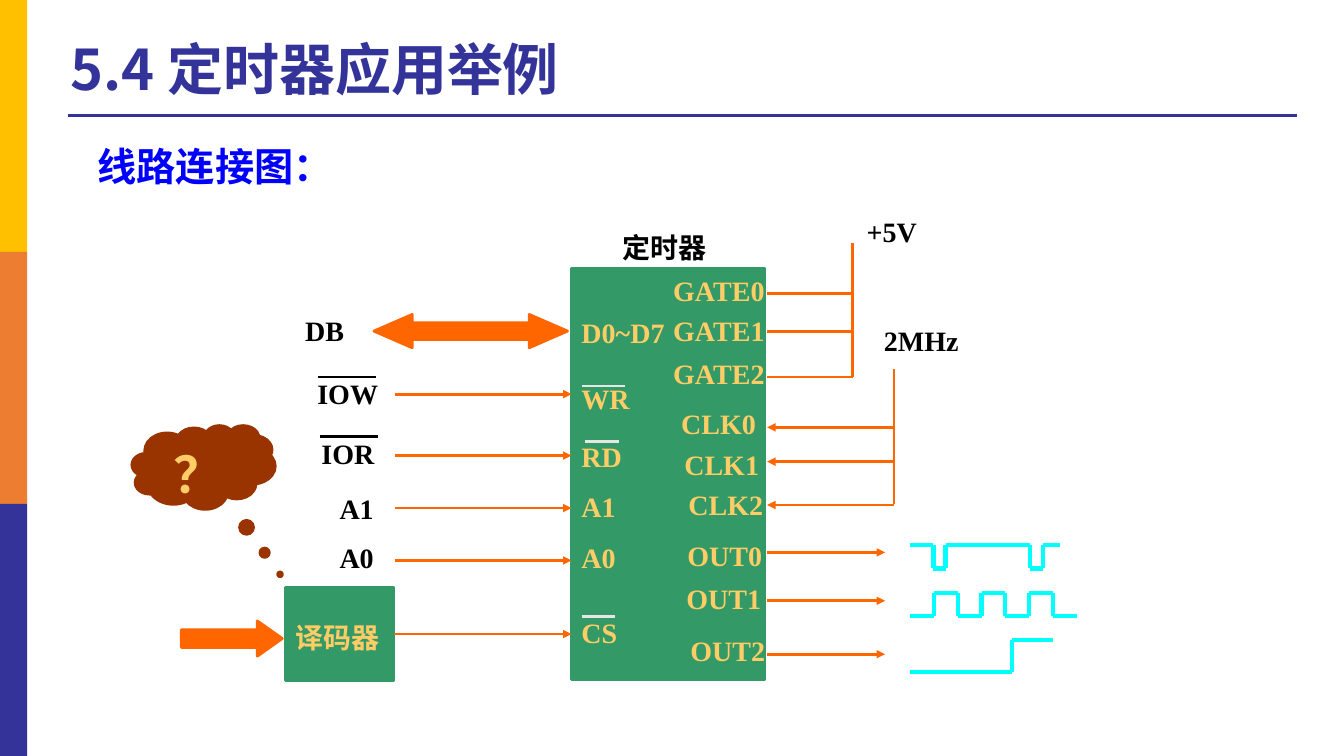
from itertools import pairwise

from lxml.etree import SubElement
from pptx import Presentation
from pptx.dml.color import RGBColor
from pptx.enum.shapes import MSO_CONNECTOR, MSO_SHAPE
from pptx.enum.text import MSO_ANCHOR, MSO_AUTO_SIZE, PP_ALIGN
from pptx.oxml.ns import qn
from pptx.util import Inches, Pt

CELL = Inches(0.1)
COLUMNS, ROWS = 133.33, 75
SERIF, SANS, TITLE_FONT = "Times New Roman", "Arial", "Noto Sans CJK SC"
COLORS = {
    "navy": "333399", "gold": "FFC000", "amber": "ED7D31", "green": "339966",
    "orange": "FF6600", "sand": "FFCC66", "black": "000000", "blue": "0000FF",
    "gray": "E7E6E6", "brown": "993300", "cyan": "00FFFF",
}

CHIP_LEFT, CHIP_RIGHT = 56.7, 76.1
INPUT_LEFT = 39.2
GATE_BUS, CLOCK_BUS = 84.6, 88.7
OUTPUT_END = 87.8
WAVE_LEFT = 90.3

PIN_LABELS = [
    ("D0~D7", 56.7, 30.8, 11.7), ("WR", 56.7, 37.4, 8.3), ("RD", 56.7, 43.1, 8.3),
    ("A1", 56.7, 48.1, 7.5), ("A0", 56.7, 53.1, 7.5), ("CS", 56.7, 60.6, 7.5),
    ("GATE0", 65.8, 26.6, 12.5), ("GATE1", 65.8, 30.6, 12.5), ("GATE2", 65.8, 34.9, 12.5),
    ("CLK0", 66.6, 39.8, 10.9), ("CLK1", 66.9, 43.9, 10.9), ("CLK2", 67.3, 47.9, 10.9),
    ("OUT0", 67.2, 52.9, 10.8), ("OUT1", 67.1, 57.2, 10.8), ("OUT2", 67.5, 62.4, 10.8),
]
SIGNAL_LABELS = [
    ("DB", 29.3, 30.6, 8.3), ("IOW", 30.5, 36.9, 8.3), ("IOR", 30.9, 42.8, 8.3),
    ("A1", 32.7, 48.3, 6.6), ("A0", 32.7, 53.1, 6.6), ("定时器", 60.8, 22.4, 10.8),
    ("+5V", 85, 20.8, 9.2), ("2MHz", 86.7, 31.6, 10.8),
]
OVERLINES = [
    (57.7, 62, 38.3, "gray"), (58, 61.4, 43.8, "gray"), (57.7, 61, 61.2, "gray"),
    (31.5, 37.3, 37.4, "black"), (31.7, 37.5, 43.3, "black"),
]


def cells(*values):
    return [int(value * CELL) for value in values]


def color(name):
    return RGBColor.from_string(COLORS[name])


def write(frame, text, size, shade, face):
    para = frame.paragraphs[0]
    para.text = text
    para.font.size = Pt(size)
    para.font.bold = True
    para.font.color.rgb = color(shade)
    para.font.name = face
    if not text.isascii():
        properties = para._p.pPr.find(qn("a:defRPr"))
        SubElement(properties, qn("a:ea")).set("typeface", TITLE_FONT)
    return para


def add_label(page, text, left, top, width, shade, height=4.3, size=20, face=SERIF):
    box = page.shapes.add_textbox(*cells(left, top, width, height))
    box.text_frame.word_wrap = True
    box.text_frame.auto_size = MSO_AUTO_SIZE.SHAPE_TO_FIT_TEXT
    return write(box.text_frame, text, size, shade, face)


def add_block(page, kind, place, shade, adjustments=(), outlined=True):
    block = page.shapes.add_shape(kind, *cells(*place))
    block.shadow.inherit = False
    block.fill.solid()
    block.fill.fore_color.rgb = color(shade)
    if outlined:
        block.line.color.rgb = color(shade)
        block.line.width = Pt(2)
    else:
        block.line.fill.background()
    for index, value in enumerate(adjustments):
        block.adjustments[index] = value
    return block


def add_wire(shapes, start, end, shade="orange", weight=2, arrow=False):
    wire = shapes.add_connector(MSO_CONNECTOR.STRAIGHT, *cells(*start, *end))
    wire.line.color.rgb = color(shade)
    wire.line.width = Pt(weight)
    if arrow:
        SubElement(wire.line._ln, qn("a:tailEnd")).set("type", "triangle")
    SubElement(wire._element.spPr, qn("a:effectLst"))
    return wire


def add_wave(page, points):
    wave = page.shapes.add_group_shape()
    for start, end in pairwise(points):
        add_wire(wave.shapes, start, end, "cyan", 3)


def add_frame(page):
    add_wire(page.shapes, (6.7, 11.5), (128.7, 11.5), "navy", 2.25)
    band = ROWS / 3
    for index, shade in enumerate(("gold", "amber", "navy")):
        add_block(page, MSO_SHAPE.RECTANGLE, (0, index * band, 2.7, band), shade, outlined=False)
    title = page.shapes.add_textbox(*cells(6, 2.8, 99.1, 8.7))
    title.text_frame.word_wrap = True
    title.text_frame.vertical_anchor = MSO_ANCHOR.MIDDLE
    write(title.text_frame, "5.4 定时器应用举例", 40, "navy", TITLE_FONT).line_spacing = 0.9
    add_label(page, "线路连接图：", 8.7, 13.6, 25.5, "blue", 5.7, 28, SANS)


def add_decoder(page):
    add_block(page, MSO_SHAPE.RIGHT_ARROW, (18, 61.6, 10, 3.5), "orange", (0.5, 0.706))
    decoder = add_block(page, MSO_SHAPE.RECTANGLE, (28.3, 58.3, 10.8, 9.2), "green")
    add_label(page, "译码器", 28.3, 59.9, 11.7, "sand", 4.9, face=SANS).line_spacing = 1.35
    select = add_wire(page.shapes, (39.1, 62.9), (CHIP_LEFT, 62.9), arrow=True)
    select.begin_connect(decoder, 3)
    cloud = add_block(page, MSO_SHAPE.CLOUD_CALLOUT, (13.1, 42.2, 14.2, 8.3), "brown", (0.534, 1.281))
    cloud.text_frame.vertical_anchor = MSO_ANCHOR.TOP
    write(cloud.text_frame, "？", 36, "sand", SERIF).alignment = PP_ALIGN.CENTER


def add_wiring(page):
    shapes = page.shapes
    add_block(page, MSO_SHAPE.LEFT_RIGHT_ARROW, (37.1, 31.2, 19.2, 3.3), "orange", (0.5, 1.15))
    for row in (39.1, 45.2, 50.4, 55.6):
        add_wire(shapes, (INPUT_LEFT, row), (CHIP_LEFT, row), arrow=True)
    for row in (29.1, 32.9, 37.4):
        add_wire(shapes, (CHIP_RIGHT, row), (GATE_BUS, row))
    add_wire(shapes, (GATE_BUS, 37.4), (GATE_BUS, 24.1))
    for row in (42.4, 45.8, 50.1):
        add_wire(shapes, (CLOCK_BUS, row), (CHIP_RIGHT, row), arrow=True)
    add_wire(shapes, (CLOCK_BUS, 50), (CLOCK_BUS, 36.6))
    for row in (54.8, 59.6, 64.9):
        add_wire(shapes, (CHIP_RIGHT, row), (OUTPUT_END, row), arrow=True)
    for left, right, row, shade in OVERLINES:
        add_wire(shapes, (left, row), (right, row), shade)


def add_waves(page):
    high, low = 54.1, 56.4
    pulses = [(WAVE_LEFT, high)]
    for left, right in ((92.6, 93.8), (102.2, 103.5)):
        pulses += [(left, high), (left, low), (right, low), (right, high)]
    add_wave(page, pulses + [(105.2, high)])

    levels, step = (61.1, 58.8), 2.36
    square = [(WAVE_LEFT, levels[0])]
    for index in range(6):
        column = WAVE_LEFT + (index + 1) * step
        square += [(column, levels[index % 2]), (column, levels[(index + 1) % 2])]
    add_wave(page, square + [(WAVE_LEFT + 7 * step, levels[0])])

    add_wave(page, [(WAVE_LEFT, 66.7), (100.4, 66.7), (100.4, 63.5), (104.5, 63.5)])


def main():
    deck = Presentation()
    deck.slide_width, deck.slide_height = cells(COLUMNS, ROWS)
    page = deck.slides.add_slide(deck.slide_layouts[6])
    add_frame(page)
    add_block(page, MSO_SHAPE.RECTANGLE, (CHIP_LEFT, 26.6, 19.2, 40.8), "green")
    for labels, shade in ((PIN_LABELS, "sand"), (SIGNAL_LABELS, "black")):
        for label in labels:
            add_label(page, *label, shade)
    add_decoder(page)
    add_wiring(page)
    add_waves(page)
    deck.save("out.pptx")


if __name__ == "__main__":
    main()
